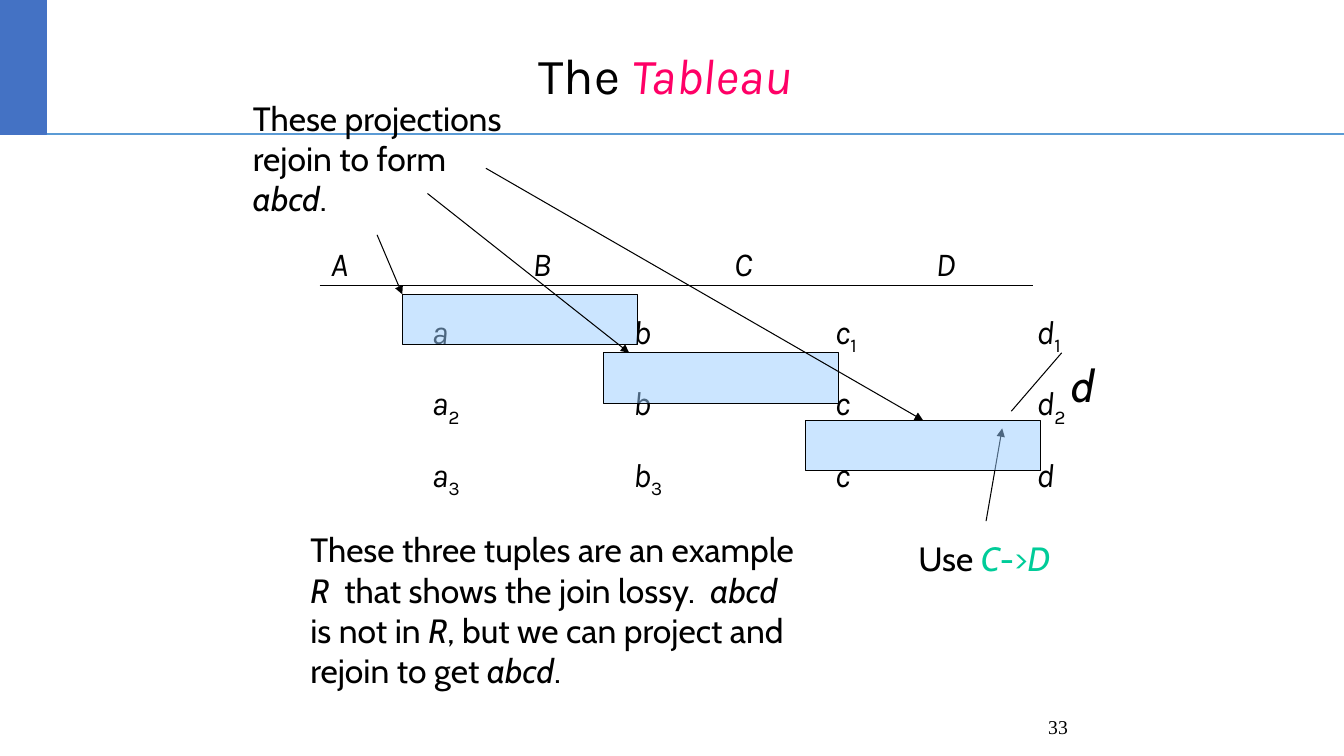
from dataclasses import dataclass
from typing import Optional

from lxml.etree import SubElement
from pptx import Presentation
from pptx.dml.color import RGBColor
from pptx.enum.shapes import MSO_CONNECTOR, MSO_SHAPE
from pptx.enum.text import MSO_ANCHOR, PP_ALIGN
from pptx.oxml.ns import qn
from pptx.util import Inches, Pt


@dataclass(frozen=True)
class Theme:
    black: str = "000000"
    pink: str = "FF0066"
    green: str = "00CC99"
    highlight: str = "99CCFF"
    band: str = "4472C4"
    rule: str = "5B9BD5"
    heading_font: str = "Karla"
    note_font: str = "Cabin"
    number_font: str = "Times New Roman"
    title_size: int = 36
    goal_size: int = 32
    text_size: int = 24
    number_size: int = 14


THEME = Theme()


@dataclass(frozen=True)
class Span:
    text: str
    italic: bool = False
    color: str = THEME.black
    subscript: bool = False


@dataclass(frozen=True)
class Note:
    left: float
    top: float
    width: float
    height: float
    lines: list
    size: int = THEME.text_size
    font: str = THEME.note_font
    align: PP_ALIGN = PP_ALIGN.LEFT
    anchor: MSO_ANCHOR = MSO_ANCHOR.TOP


@dataclass(frozen=True)
class Stroke:
    start: tuple
    end: tuple
    arrow: bool = False
    color: str = THEME.black
    weight: float = 0.75


def it(text: str, color: str = THEME.black) -> Span:
    return Span(text, True, color)


def sub(text: str) -> Span:
    return Span(text, subscript=True)


def add_spans(paragraph, spans: list, font: str, size: int) -> None:
    for span in spans:
        run = paragraph.add_run()
        run.text = span.text
        run.font.name = font
        run.font.size = Pt(size)
        run.font.italic = span.italic
        run.font.color.rgb = RGBColor.from_string(span.color)
        if span.subscript:
            run.font._element.set("baseline", "-25000")


def add_lines(frame, lines: list, font: str, size: int) -> list:
    for index, spans in enumerate(lines):
        paragraph = frame.add_paragraph() if index else frame.paragraphs[0]
        add_spans(paragraph, spans, font, size)
    return list(frame.paragraphs)


def add_note(slide, note: Note) -> None:
    box = slide.shapes.add_textbox(
        Inches(note.left), Inches(note.top), Inches(note.width), Inches(note.height))
    frame = box.text_frame
    frame.word_wrap = False
    frame.vertical_anchor = note.anchor
    for paragraph in add_lines(frame, note.lines, note.font, note.size):
        paragraph.alignment = note.align


def add_stroke(slide, stroke: Stroke, target: Optional[object] = None) -> None:
    ends = [Inches(value) for value in (*stroke.start, *stroke.end)]
    connector = slide.shapes.add_connector(MSO_CONNECTOR.STRAIGHT, *ends)
    connector.line.color.rgb = RGBColor.from_string(stroke.color)
    connector.line.width = Pt(stroke.weight)
    if stroke.arrow:
        SubElement(connector.line._get_or_add_ln(), qn("a:tailEnd"), type="triangle")
    SubElement(connector._element.spPr, qn("a:effectLst"))
    if target is not None:
        connector.end_connect(target, 0)


def add_box(slide, left: float, top: float, width: float, height: float,
            fill: str, line: str, weight: float, opacity: int = 100):
    box = slide.shapes.add_shape(
        MSO_SHAPE.RECTANGLE, Inches(left), Inches(top), Inches(width), Inches(height))
    box.shadow.inherit = False
    box.fill.solid()
    box.fill.fore_color.rgb = RGBColor.from_string(fill)
    box.line.color.rgb = RGBColor.from_string(line)
    box.line.width = Pt(weight)
    if opacity < 100:
        color = box._element.spPr.find(qn("a:solidFill"))[0]
        SubElement(color, qn("a:alpha"), val=str(opacity * 1000))
    return box


def add_title(slide) -> None:
    title = slide.shapes.title
    title.left, title.top = Inches(5.24), Inches(0.22)
    title.width, title.height = Inches(7.18), Inches(1.11)
    title.text_frame.vertical_anchor = MSO_ANCHOR.MIDDLE
    heading = title.text_frame.paragraphs[0]
    heading.alignment = PP_ALIGN.LEFT
    heading.line_spacing = 0.9
    add_spans(heading, [Span("The "), it("Tableau", THEME.pink)],
              THEME.heading_font, THEME.title_size)


def add_columns(slide, left: float, top: float, height: float, rows: list) -> None:
    column = Inches(2)
    box = slide.shapes.add_textbox(Inches(left), Inches(top), 4 * column, Inches(height))
    frame = box.text_frame
    frame.word_wrap = True
    frame.margin_left = frame.margin_right = 0
    for paragraph in add_lines(frame, rows, THEME.heading_font, THEME.text_size):
        paragraph.line_spacing = 1.25
        paragraph.space_before = Pt(10)
        paragraph._p.get_or_add_pPr().set("defTabSz", str(column))


def add_tableau(slide) -> None:
    add_columns(slide, 3.28, 2.26, 0.6, [[it("A\tB\tC\tD")]])
    add_columns(slide, 4.28, 2.92, 2.2, [
        [it("a\tb\tc"), sub("1"), it("\td"), sub("1")],
        [it("a"), sub("2"), it("\tb\tc\td"), sub("2")],
        [it("a"), sub("3"), it("\tb"), sub("3"), it("\tc\td")],
    ])


def main() -> None:
    deck = Presentation()
    deck.slide_width, deck.slide_height = Inches(13.33), Inches(7.5)
    slide = deck.slides.add_slide(deck.slide_layouts[5])

    add_stroke(slide, Stroke((0, 1.33), (13.33, 1.33), color=THEME.rule, weight=1))
    add_box(slide, -0.01, 0, 0.47, 1.33, THEME.band, THEME.band, 1)
    add_title(slide)
    add_tableau(slide)

    for stroke in [
        Stroke((3.17, 2.83), (10.25, 2.83)),
        Stroke((10.53, 3.5), (10.03, 4.08)),
        Stroke((9.78, 5.17), (9.94, 4.25), arrow=True),
    ]:
        add_stroke(slide, stroke)

    projections = [
        add_box(slide, 3.99 + 2 * index, top, 2.33, 0.5,
                THEME.highlight, THEME.black, 0.75, opacity=50)
        for index, top in enumerate([2.92, 3.5, 4.17])
    ]

    for note in [
        Note(10.53, 3.5, 0.45, 0.63, [[it("d")]], size=THEME.goal_size),
        Note(9.01, 5.29, 1.64, 0.5, [
            [Span("Use "), it("C", THEME.green), Span("->", color=THEME.green),
             it("D", THEME.green)]]),
        Note(2.98, 5.2, 5.36, 1.72, [
            [Span("These three tuples are an example")],
            [it("R"), Span("  that shows the join lossy.  "), it("abcd")],
            [Span("is not in "), it("R"), Span(", but we can project and")],
            [Span("rejoin to get "), it("abcd"), Span(".")]]),
        Note(2.41, 0.92, 2.82, 1.31, [
            [Span("These projections")],
            [Span("rejoin to form")],
            [it("abcd"), Span(".")]]),
        Note(9.99, 7.01, 0.7, 0.4, [[Span("33")]], THEME.number_size,
             THEME.number_font, PP_ALIGN.RIGHT, MSO_ANCHOR.MIDDLE),
    ]:
        add_note(slide, note)

    add_stroke(slide, Stroke((3.74, 2.33), (3.99, 2.92), arrow=True))
    add_stroke(slide, Stroke((4.24, 1.92), (6.24, 3.5), arrow=True))
    add_stroke(slide, Stroke((4.82, 1.67), (9.16, 4.17), arrow=True), projections[2])

    deck.save("out.pptx")


if __name__ == "__main__":
    main()
